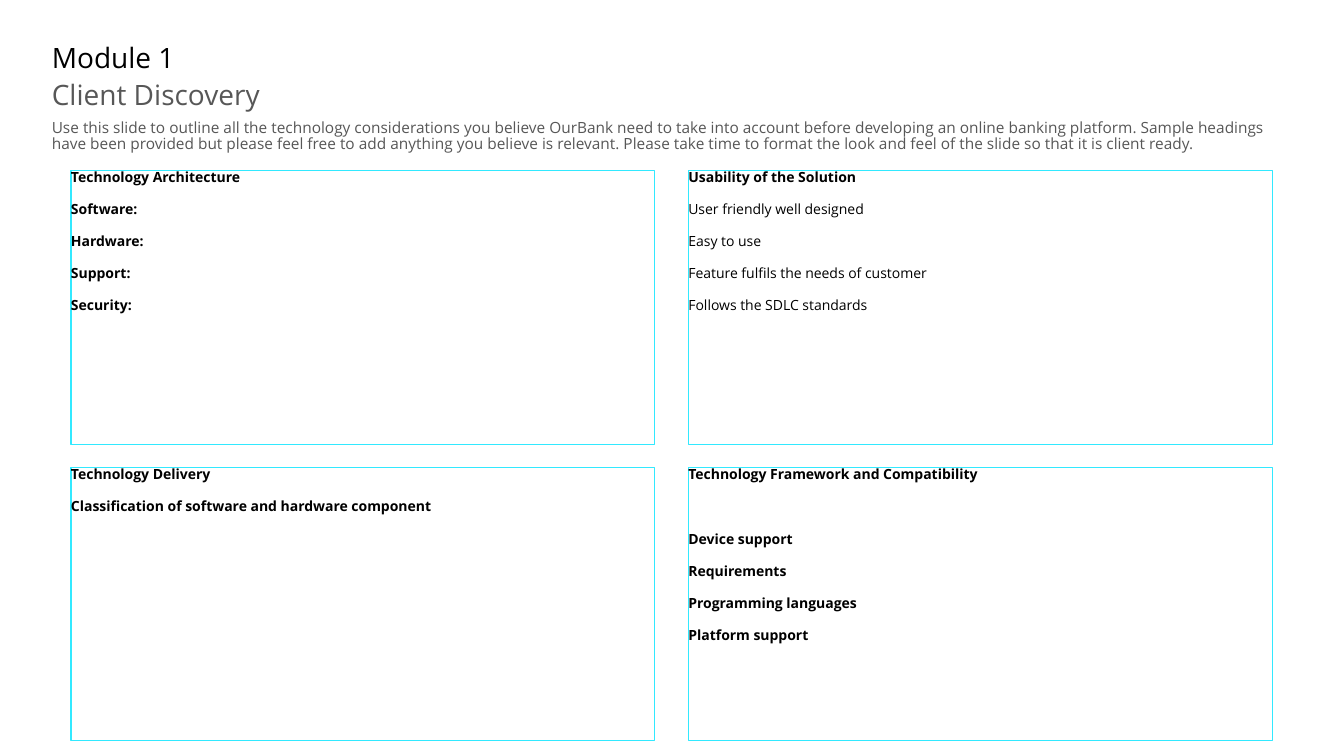
from pptx import Presentation
from pptx.dml.color import RGBColor
from pptx.enum.shapes import MSO_SHAPE
from pptx.enum.text import MSO_ANCHOR, PP_ALIGN
from pptx.util import Pt


def color(hex_string):
    return RGBColor.from_string(hex_string)


def add_text(frame, text, size=10, ink="000000", bold=False, before=0, after=0):
    """Append one paragraph, filling the frame's first one if it is still empty."""
    frame.word_wrap = True
    frame.vertical_anchor = MSO_ANCHOR.TOP
    frame.margin_left = frame.margin_right = frame.margin_top = frame.margin_bottom = 0
    paragraph = frame.add_paragraph() if frame.text else frame.paragraphs[0]
    paragraph.alignment = PP_ALIGN.LEFT
    paragraph.line_spacing = 0.9
    paragraph.space_before, paragraph.space_after = Pt(before), Pt(after)
    run = paragraph.add_run()
    run.text = text
    run.font.name, run.font.size, run.font.bold = "Open Sans", Pt(size), bold
    run.font.color.rgb = color(ink)


deck = Presentation()
deck.slide_width, deck.slide_height = Pt(960), Pt(540)
slide = deck.slides.add_slide(deck.slide_layouts[6])

INTRO = (
    "Use this slide to outline all the technology considerations you believe OurBank need to "
    "take into account before developing an online banking platform. Sample headings have been "
    "provided but please feel free to add anything you believe is relevant. Please take time to "
    "format the look and feel of the slide so that it is client ready."
)
headers = [
    # text, top, width, height, size, colour
    ("Module 1", 31.7, 721.5, 26.6, 20, "000000"),
    ("Client Discovery", 58.3, 721.5, 29.5, 20, "575757"),
    (INTRO, 85.7, 887, 31.7, 11, "575757"),
]
for text, top, width, height, size, ink in headers:
    header = slide.shapes.add_textbox(Pt(37), Pt(top), Pt(width), Pt(height))
    add_text(header.text_frame, text, size=size, ink=ink)

# Heading, items, whether items are bold, extra space below the heading
topics = [
    ("Technology Architecture", ["Software:", "Hardware:", "Support:", "Security:"], True, 0),
    ("Usability of the Solution",
     ["User friendly well designed", "Easy to use", "Feature fulfils the needs of customer",
      "Follows the SDLC standards"], False, 0),
    ("Technology Delivery", ["Classification of software and hardware component"], True, 0),
    ("Technology Framework and Compatibility",
     ["Device support", "Requirements", "Programming languages", "Platform support"], True, 24),
]
LEFT, TOP, COLUMN_STEP, ROW_STEP = 50.7, 121.7, 441, 212
for index, (heading, items, bold_items, heading_gap) in enumerate(topics):
    row, column = divmod(index, 2)
    panel = slide.shapes.add_shape(
        MSO_SHAPE.RECTANGLE, Pt(LEFT + column * COLUMN_STEP), Pt(TOP + row * ROW_STEP),
        Pt(417), Pt(195.6))
    panel.shadow.inherit = False
    panel.fill.background()
    panel.line.color.rgb = color("32E9FF")
    panel.line.width = Pt(0.75)
    add_text(panel.text_frame, heading, bold=True, before=6, after=6 + heading_gap)
    for item in items:
        add_text(panel.text_frame, item, bold=bold_items, before=6, after=6)

deck.save("out.pptx")
